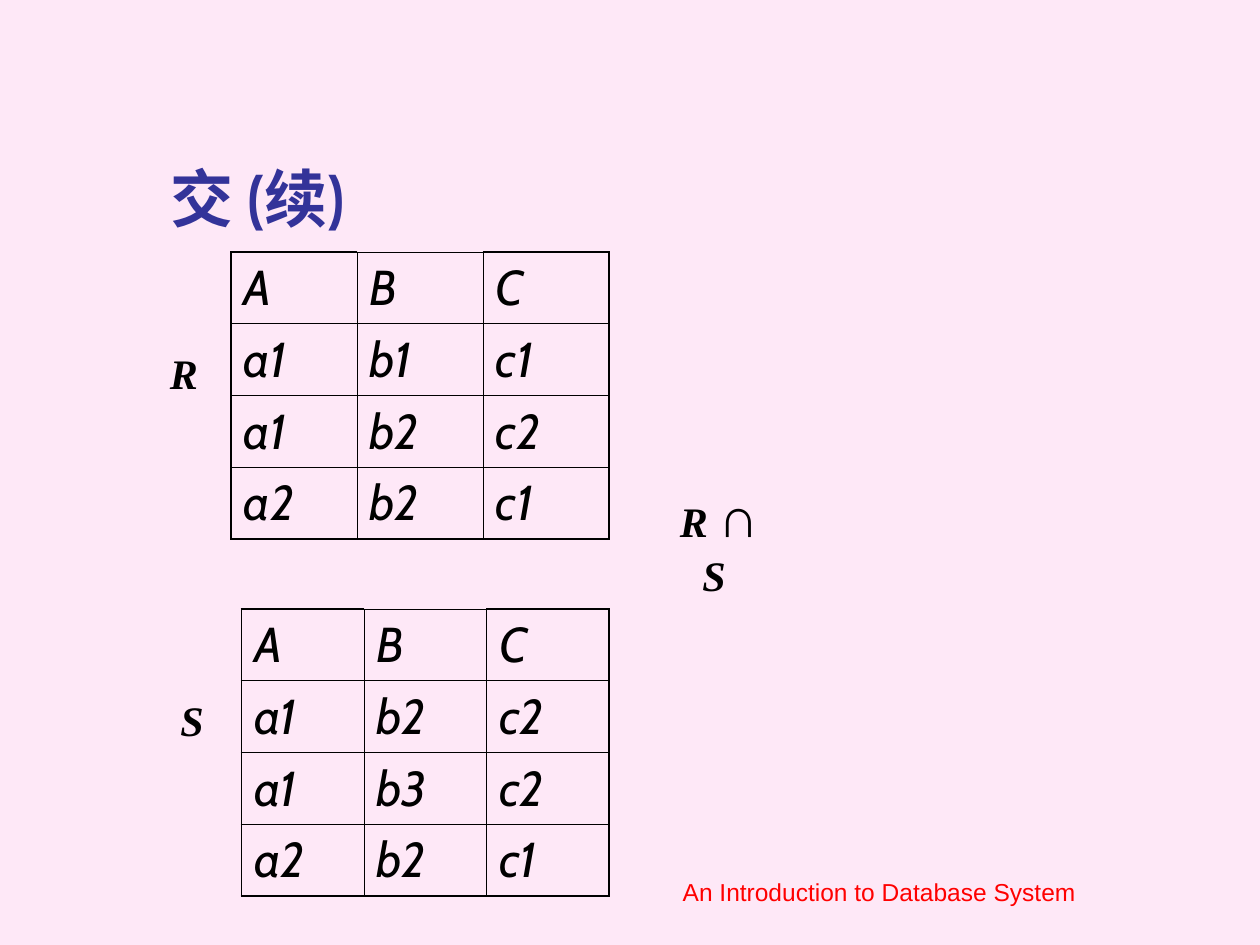
import lxml.etree
import pptx
import pptx.dml.color
import pptx.enum.text
import pptx.oxml.ns
import pptx.util

Pt = pptx.util.Pt
RGB = pptx.dml.color.RGBColor
ALIGN = pptx.enum.text.PP_ALIGN
ANCHOR = pptx.enum.text.MSO_ANCHOR

PINK = RGB(0xFE, 0xE8, 0xF7)
NAVY = RGB(0x33, 0x33, 0x99)
BLACK = RGB(0, 0, 0)
RED = RGB(0xFF, 0, 0)

THIN, THICK = Pt(0.45), Pt(1.08)

TITLE = {"name": "Cabin", "size": Pt(36), "bold": True}
CELL = {"name": "Cabin", "size": Pt(28), "italic": True}
LABEL = {"name": "Times New Roman", "size": Pt(24), "bold": True, "italic": True}
SIGN = {**LABEL, "size": Pt(32), "italic": False}
FOOT = {"name": "Arial", "size": Pt(14)}

R_ROWS = ["A B C", "a1 b1 c1", "a1 b2 c2", "a2 b2 c1"]
S_ROWS = ["A B C", "a1 b2 c2", "a1 b3 c2", "a2 b2 c1"]


def style(font, form, color):
    """Apply a dict of format values and a colour to a font."""
    for key, value in form.items():
        setattr(font, key, value)
    font.color.rgb = color


def place(shape, box):
    """Move a shape to a box of left, top, width and height in points."""
    for key, value in zip(("left", "top", "width", "height"), box):
        setattr(shape, key, Pt(value))


def add_title(slide, box, text):
    """Fill, move and format the title placeholder."""
    title = slide.shapes.title
    place(title, box)
    frame = title.text_frame
    frame.text = text
    frame.vertical_anchor = ANCHOR.BOTTOM
    frame.auto_size = pptx.enum.text.MSO_AUTO_SIZE.NONE
    para = frame.paragraphs[0]
    para.alignment = ALIGN.LEFT
    style(para.runs[0].font, TITLE, NAVY)


def add_text(slide, box, runs, color=BLACK, anchor=ANCHOR.MIDDLE, wrap=False):
    """Add a centred text box of (text, format) runs."""
    frame = slide.shapes.add_textbox(*map(Pt, box)).text_frame
    frame.word_wrap = wrap
    frame.vertical_anchor = anchor
    para = frame.paragraphs[0]
    para.alignment = ALIGN.CENTER
    for text, form in runs:
        run = para.add_run()
        run.text = text
        style(run.font, form, color)


def add_edges(cell, widths):
    """Draw the cell borders given as a dict of side and width."""
    props = cell._tc.get_or_add_tcPr()
    for spot, (side, width) in enumerate(widths.items()):
        line = lxml.etree.Element(pptx.oxml.ns.qn("a:ln" + side), w=str(width))
        fill = lxml.etree.SubElement(line, pptx.oxml.ns.qn("a:solidFill"))
        lxml.etree.SubElement(fill, pptx.oxml.ns.qn("a:srgbClr"), val=str(BLACK))
        props.insert(spot, line)


def add_grid(slide, box, lines):
    """Add a relation table with a heavier outer frame."""
    rows = [line.split() for line in lines]
    last, end = len(rows) - 1, len(rows[0]) - 1
    table = slide.shapes.add_table(last + 1, end + 1, *map(Pt, box)).table
    table.first_row = table.horz_banding = False
    for r, row in enumerate(rows):
        for c, text in enumerate(row):
            cell = table.cell(r, c)
            cell.text = text
            cell.fill.background()
            style(cell.text_frame.paragraphs[0].runs[0].font, CELL, BLACK)
            heavy = {"L": c == 0, "R": c == end,
                     "T": r == 0 and c in (0, end), "B": r == last}
            add_edges(cell, {side: THICK if on else THIN for side, on in heavy.items()})


def main():
    """Build the slide and save it."""
    deck = pptx.Presentation()
    deck.slide_width, deck.slide_height = Pt(720), Pt(540)
    slide = deck.slides.add_slide(deck.slide_layouts[5])
    back = slide.background.fill
    back.solid()
    back.fore_color.rgb = PINK
    add_text(slide, (314.5, 485.5, 376, 36), [("An Introduction to Database System", FOOT)],
             RED, ANCHOR.BOTTOM, True)
    add_title(slide, (90, 48, 613.5, 90), "交 (续)")
    add_grid(slide, (132, 144, 216, 164), R_ROWS)
    add_grid(slide, (138, 348, 210, 164), S_ROWS)
    add_text(slide, (90, 180, 24, 66), [("R", LABEL)])
    add_text(slide, (96, 378, 24, 66), [("S", LABEL)])
    add_text(slide, (378, 276, 66, 66), [("R ", LABEL), ("∩", SIGN), (" S ", LABEL)])
    deck.save("out.pptx")


if __name__ == "__main__":
    main()
